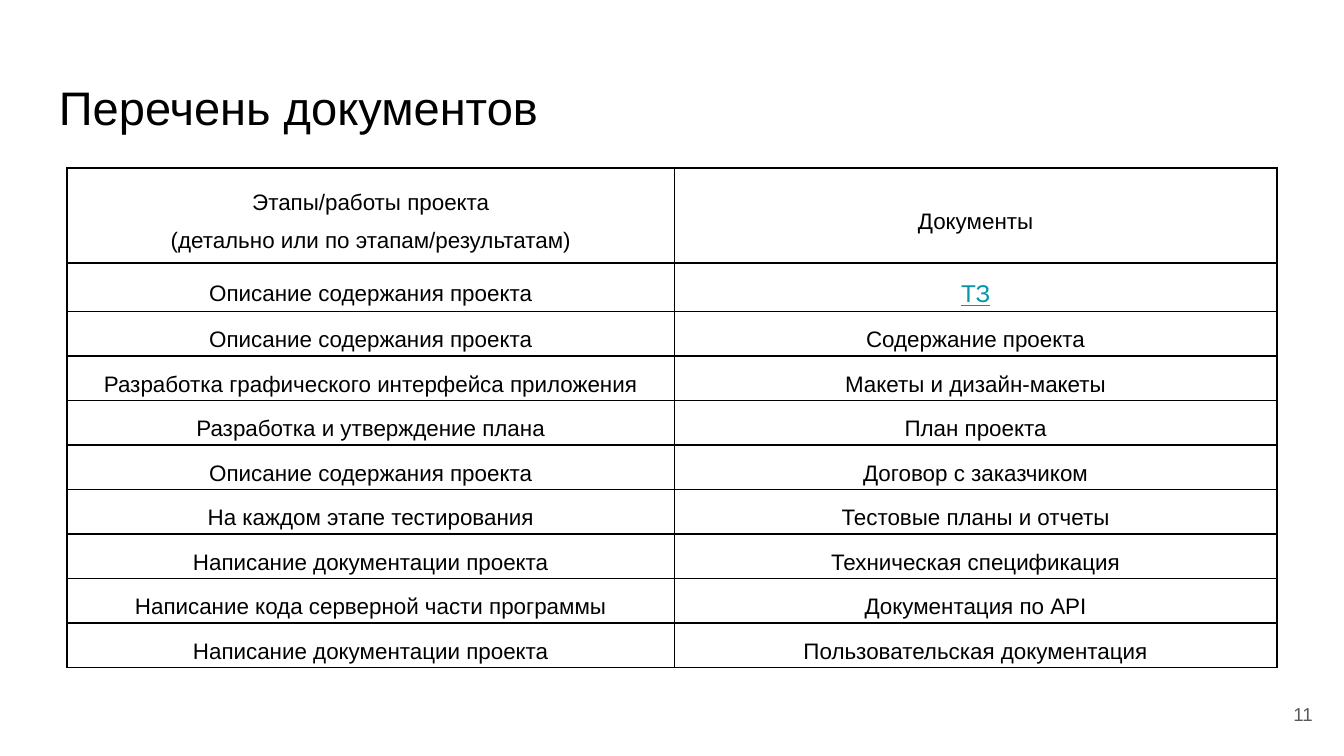
from lxml import etree
from pptx import Presentation
from pptx import util as u
from pptx.dml.color import RGBColor
from pptx.enum import text
from pptx.oxml.ns import qn

FONT = "Arial"
BLACK, GREY, TEAL, WHITE = "000000", "595959", "0097A7", "FFFFFF"
COLUMN_WIDTHS = (325.4, 322.6)
HEADER_HEIGHT, FIRST_HEIGHT, ROW_HEIGHT = 51, 25.9, 23.86

HEADER = ("Этапы/работы проекта\n(детально или по этапам/результатам)", "Документы")
DOCUMENTS = [
    ("Описание содержания проекта", "ТЗ"),
    ("Описание содержания проекта", "Содержание проекта"),
    ("Разработка графического интерфейса приложения", "Макеты и дизайн-макеты"),
    ("Разработка и утверждение плана", "План проекта"),
    ("Описание содержания проекта", "Договор с заказчиком"),
    ("На каждом этапе тестирования", "Тестовые планы и отчеты"),
    ("Написание документации проекта", "Техническая спецификация"),
    ("Написание кода серверной части программы", "Документация по API"),
    ("Написание документации проекта", "Пользовательская документация"),
]


def color(value):
    return RGBColor.from_string(value)


def style_paragraph(para, size, fill, align, spacing=1.0):
    para.alignment = align
    para.line_spacing = spacing
    para.font.name = FONT
    para.font.size = u.Pt(size)
    para.font.color.rgb = color(fill)


def add_label(page, words, left, top, width, height, size, fill, align, anchor):
    box = page.shapes.add_textbox(u.Pt(left), u.Pt(top), u.Pt(width), u.Pt(height))
    frame = box.text_frame
    frame.word_wrap = True
    frame.vertical_anchor = anchor
    frame.margin_left = frame.margin_right = u.Pt(7.2)
    frame.margin_top = frame.margin_bottom = u.Pt(7.2)
    frame.text = words
    style_paragraph(frame.paragraphs[0], size, fill, align)


def add_borders(cell, line_color, width):
    properties = cell._tc.get_or_add_tcPr()
    for index, side in enumerate(("a:lnL", "a:lnR", "a:lnT", "a:lnB")):
        line = etree.Element(qn(side), w=str(u.Pt(width)))
        fill = etree.SubElement(line, qn("a:solidFill"))
        etree.SubElement(fill, qn("a:srgbClr"), val=line_color)
        properties.insert(index, line)


def fill_cell(cell, words):
    cell.fill.solid()
    cell.fill.fore_color.rgb = color(WHITE)
    cell.vertical_anchor = text.MSO_ANCHOR.MIDDLE
    cell.margin_left = cell.margin_right = u.Pt(5)
    cell.margin_top = cell.margin_bottom = 0
    cell.text = words
    for para in cell.text_frame.paragraphs:
        style_paragraph(para, 12, BLACK, text.PP_ALIGN.CENTER, 1.5)
    add_borders(cell, BLACK, 1)


def add_document_table(page, left, top):
    rows = [HEADER, *DOCUMENTS]
    heights = [HEADER_HEIGHT, FIRST_HEIGHT] + [ROW_HEIGHT] * (len(rows) - 2)
    table = page.shapes.add_table(
        len(rows), len(COLUMN_WIDTHS), u.Pt(left), u.Pt(top),
        u.Pt(sum(COLUMN_WIDTHS)), u.Pt(sum(heights))).table
    for column, width in zip(table.columns, COLUMN_WIDTHS):
        column.width = u.Pt(width)
    for row, height, entries in zip(table.rows, heights, rows):
        row.height = u.Pt(height)
        for cell, words in zip(row.cells, entries):
            fill_cell(cell, words)
    return table


def main():
    deck = Presentation()
    deck.slide_width, deck.slide_height = u.Pt(720), u.Pt(405)
    page = deck.slides.add_slide(deck.slide_layouts[6])

    # Title
    add_label(page, "Перечень документов", 24.5, 35, 671, 45, 25.2, BLACK,
              text.PP_ALIGN.LEFT, text.MSO_ANCHOR.TOP)

    # Slide number
    add_label(page, "11", 667.1, 367.2, 43.2, 31, 10, GREY,
              text.PP_ALIGN.RIGHT, text.MSO_ANCHOR.MIDDLE)

    # Documents by project stage, with the first one underlined
    table = add_document_table(page, 36, 90)
    span = table.cell(1, 1).text_frame.paragraphs[0].runs[0]
    span.font.size = u.Pt(13)
    span.font.color.rgb = color(TEAL)
    span.font.underline = True

    deck.save("out.pptx")


if __name__ == "__main__":
    main()
